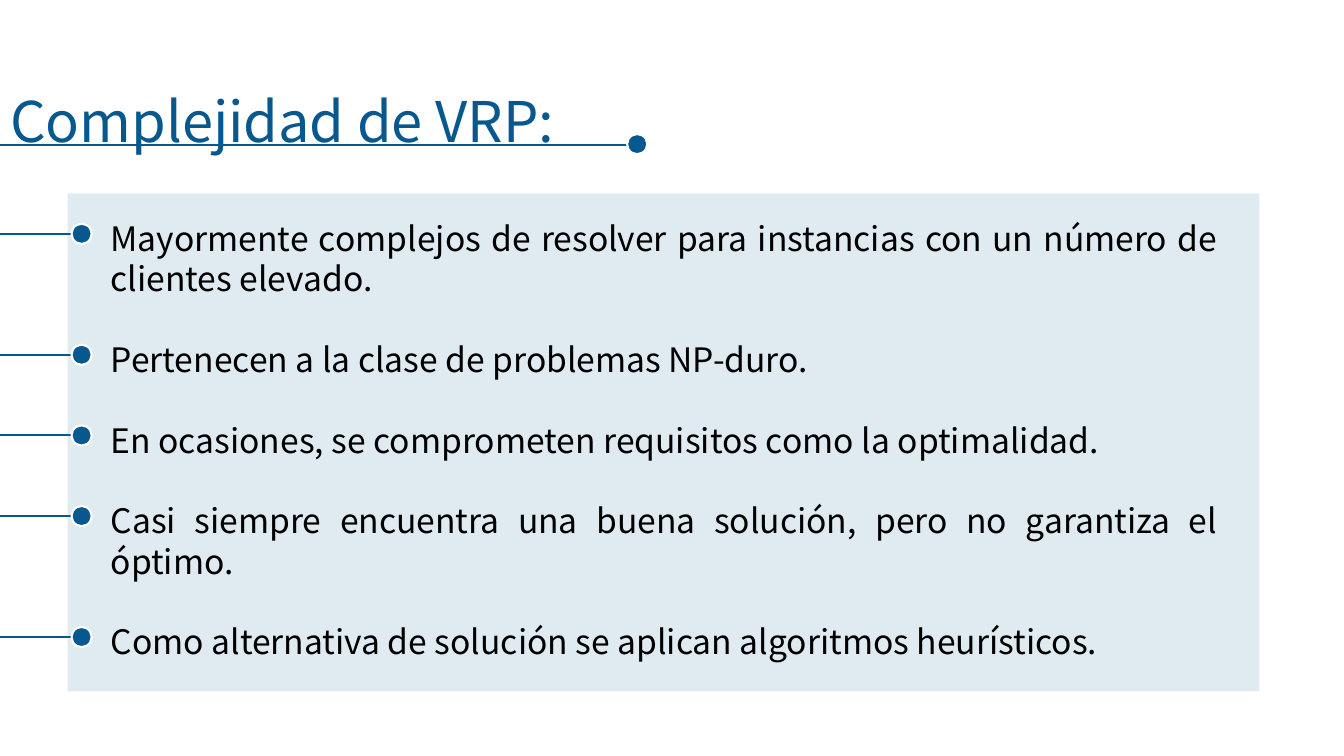
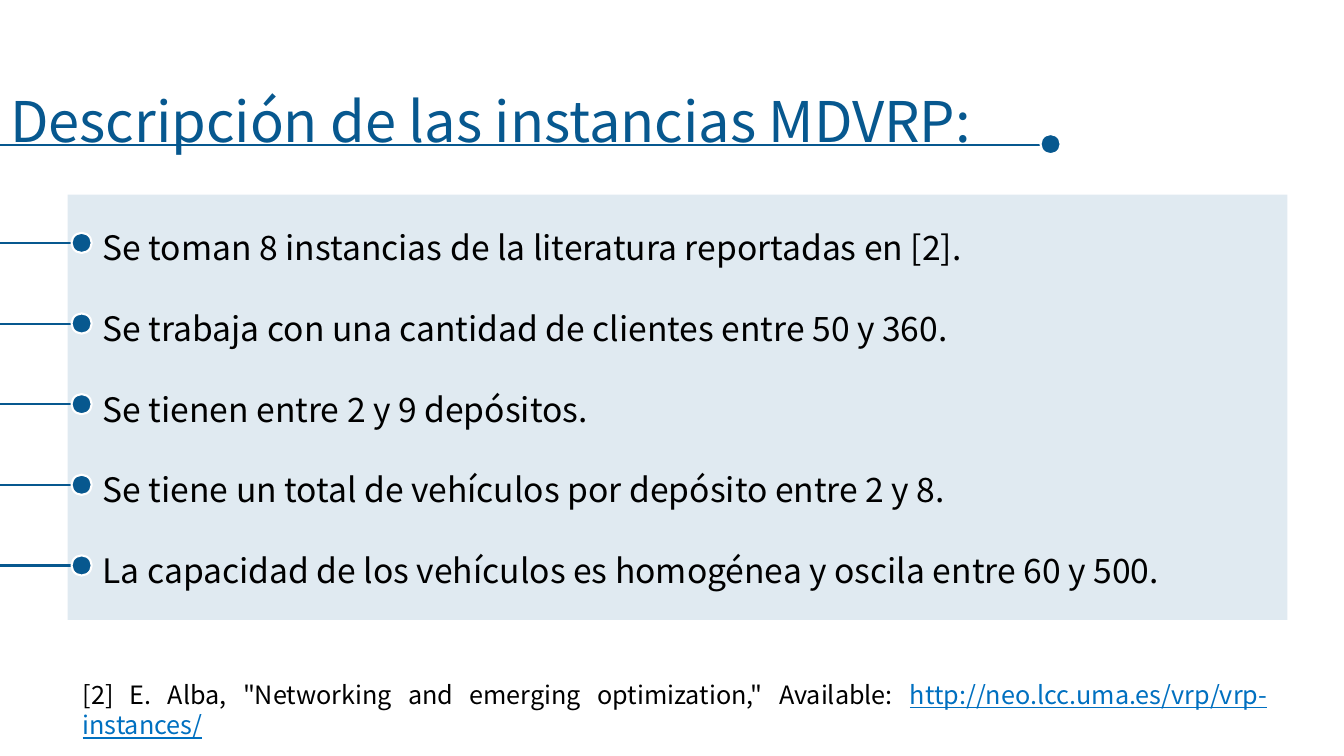
from dataclasses import dataclass

from lxml.etree import SubElement
from pptx import Presentation
from pptx.dml.color import RGBColor
from pptx.enum.shapes import MSO_CONNECTOR as Connector, MSO_SHAPE as Shape
from pptx.enum.text import MSO_ANCHOR as Anchor, MSO_AUTO_SIZE as AutoSize, PP_ALIGN as Align
from pptx.oxml.ns import qn
from pptx.util import Inches, Pt


@dataclass(frozen=True)
class Theme:
    """Colours, type sizes and measures shared by the slides."""
    font: str = "Noto Sans CJK JP"
    blue: RGBColor = RGBColor(0x07, 0x58, 0x8F)
    link: RGBColor = RGBColor(0x00, 0x70, 0xC0)
    black: RGBColor = RGBColor(0, 0, 0)
    white: RGBColor = RGBColor(0xFF, 0xFF, 0xFF)
    title_size: int = 40
    body_size: int = 24
    note_size: int = 18
    leading: float = 1.2
    rule_width: float = 1.5
    panel_opacity: int = 12
    dot: float = 0.2


THEME = Theme()

SLIDES = [
    {
        "title": "Complejidad de VRP:",
        "title_width": 5.67,
        "panel": (0.67, 1.92, 11.82, 4.94),
        "text": (1, 2.08, 11.17, 4.54),
        "items": [
            ("Mayormente complejos de resolver para instancias con un número de clientes elevado.", 2),
            ("Pertenecen a la clase de problemas NP-duro.", 1),
            ("En ocasiones, se comprometen requisitos como la optimalidad.", 1),
            ("Casi siempre encuentra una buena solución, pero no garantiza el óptimo.", 2),
            ("Como alternativa de solución se aplican algoritmos heurísticos.", 1),
        ],
    },
    {
        "title": "Descripción de las instancias MDVRP:",
        "title_width": 9.77,
        "panel": (0.67, 1.93, 12.1, 4.22),
        "text": (0.92, 2.17, 11.95, 3.74),
        "items": [
            ("Se toman 8 instancias de la literatura reportadas en [2].", 1),
            ("Se trabaja con una cantidad de clientes entre 50 y 360.", 1),
            ("Se tienen entre 2 y 9 depósitos.", 1),
            ("Se tiene un total de vehículos por depósito entre 2 y 8.", 1),
            ("La capacidad de los vehículos es homogénea y oscila entre 60 y 500.", 1),
        ],
        "reference": (
            '[2] E. Alba, "Networking and emerging optimization," Available: ',
            "http://neo.lcc.uma.es/vrp/vrp-instances/",
        ),
    },
]


def apply(target, formats):
    """Set each named attribute of the target."""
    for name, value in formats.items():
        setattr(target, name, value)


def place(shape, box):
    """Move and size a shape to a box in inches."""
    apply(shape, dict(zip(("left", "top", "width", "height"), map(Inches, box))))


def format_frame(frame, size, wrap=True):
    """Anchor a text frame at the top, with a margin that suits the type size."""
    apply(frame, {
        "word_wrap": wrap,
        "auto_size": AutoSize.NONE,
        "vertical_anchor": Anchor.TOP,
        "margin_left": Inches(0.1),
        "margin_right": Inches(0.1),
        "margin_top": Inches(0.05 + size * 0.0014),
        "margin_bottom": Inches(0.05),
    })


def write(paragraph, runs, size, align, gap=0):
    """Fill a paragraph with runs of text, colour and underline."""
    apply(paragraph, {
        "alignment": align,
        "line_spacing": Pt(size * THEME.leading),
        "space_before": Pt(0),
        "space_after": Pt(gap),
    })
    for text, color, underline in runs:
        run = paragraph.add_run()
        run.text = text
        apply(run.font, {"name": THEME.font, "size": Pt(size), "underline": underline})
        run.font.color.rgb = color


def add_panel(slide, box):
    """Add the translucent panel behind the text."""
    panel = slide.shapes.add_shape(Shape.RECTANGLE, *map(Inches, box))
    panel.shadow.inherit = False
    panel.fill.solid()
    panel.fill.fore_color.rgb = THEME.blue
    panel.line.fill.background()
    color = panel.fill._xPr.find(qn("a:solidFill"))[0]
    SubElement(color, qn("a:alpha"), val=str(THEME.panel_opacity * 1000))


def add_pin(shapes, end, line_y, dot_y):
    """Add a line from the left edge that ends in a dot."""
    line = shapes.add_connector(
        Connector.STRAIGHT, Inches(0), Inches(line_y), Inches(end), Inches(line_y))
    SubElement(line._element.spPr, qn("a:effectLst"))
    radius = THEME.dot / 2
    dot = shapes.add_shape(
        Shape.OVAL, Inches(end - radius), Inches(dot_y - radius), Inches(THEME.dot), Inches(THEME.dot))
    dot.shadow.inherit = False
    dot.fill.solid()
    dot.fill.fore_color.rgb = THEME.blue
    for shape, color in ((line, THEME.blue), (dot, THEME.white)):
        shape.line.color.rgb = color
        shape.line.width = Pt(THEME.rule_width)


def add_title(slide, text, width):
    """Write the title and underline it with a pin."""
    title = slide.shapes.title
    place(title, (0, 0.75, width, 0.77))
    format_frame(title.text_frame, THEME.title_size, wrap=False)
    write(title.text_frame.paragraphs[0], [(text, THEME.blue, False)], THEME.title_size, Align.LEFT)
    add_pin(slide.shapes, width + 0.65, 1.44, 1.43)


def add_items(slide, box, items):
    """Add the items as justified text, each with a pin at its first line."""
    frame = slide.shapes.add_textbox(*map(Inches, box)).text_frame
    format_frame(frame, THEME.body_size)
    line_height = THEME.body_size * THEME.leading
    pin_y = box[1] + 0.24
    for index, (text, lines) in enumerate(items):
        paragraph = frame.add_paragraph() if index else frame.paragraphs[0]
        gap = line_height if index < len(items) - 1 else 0
        write(paragraph, [(text, THEME.black, False)], THEME.body_size, Align.JUSTIFY, gap)
        add_pin(slide.shapes.add_group_shape().shapes, 0.81, pin_y, pin_y)
        pin_y += (lines + 1) * line_height / 72


def add_reference(slide, box, citation, address):
    """Add the reference with its underlined address."""
    frame = slide.shapes.add_textbox(*map(Inches, box)).text_frame
    format_frame(frame, THEME.note_size)
    runs = [(citation, THEME.black, False), (address, THEME.link, True)]
    write(frame.paragraphs[0], runs, THEME.note_size, Align.JUSTIFY)


def add_item_slide(presentation, content):
    """Add a slide with a title, a panel of items and an optional reference."""
    slide = presentation.slides.add_slide(presentation.slide_layouts.get_by_name("Title Only"))
    add_panel(slide, content["panel"])
    add_title(slide, content["title"], content["title_width"])
    add_items(slide, content["text"], content["items"])
    if "reference" in content:
        add_reference(slide, (0.72, 6.66, 11.95, 0.71), *content["reference"])


def main():
    """Build and save the presentation."""
    presentation = Presentation()
    apply(presentation, {"slide_width": Inches(13.33), "slide_height": Inches(7.5)})
    for content in SLIDES:
        add_item_slide(presentation, content)
    presentation.save("out.pptx")


if __name__ == "__main__":
    main()
